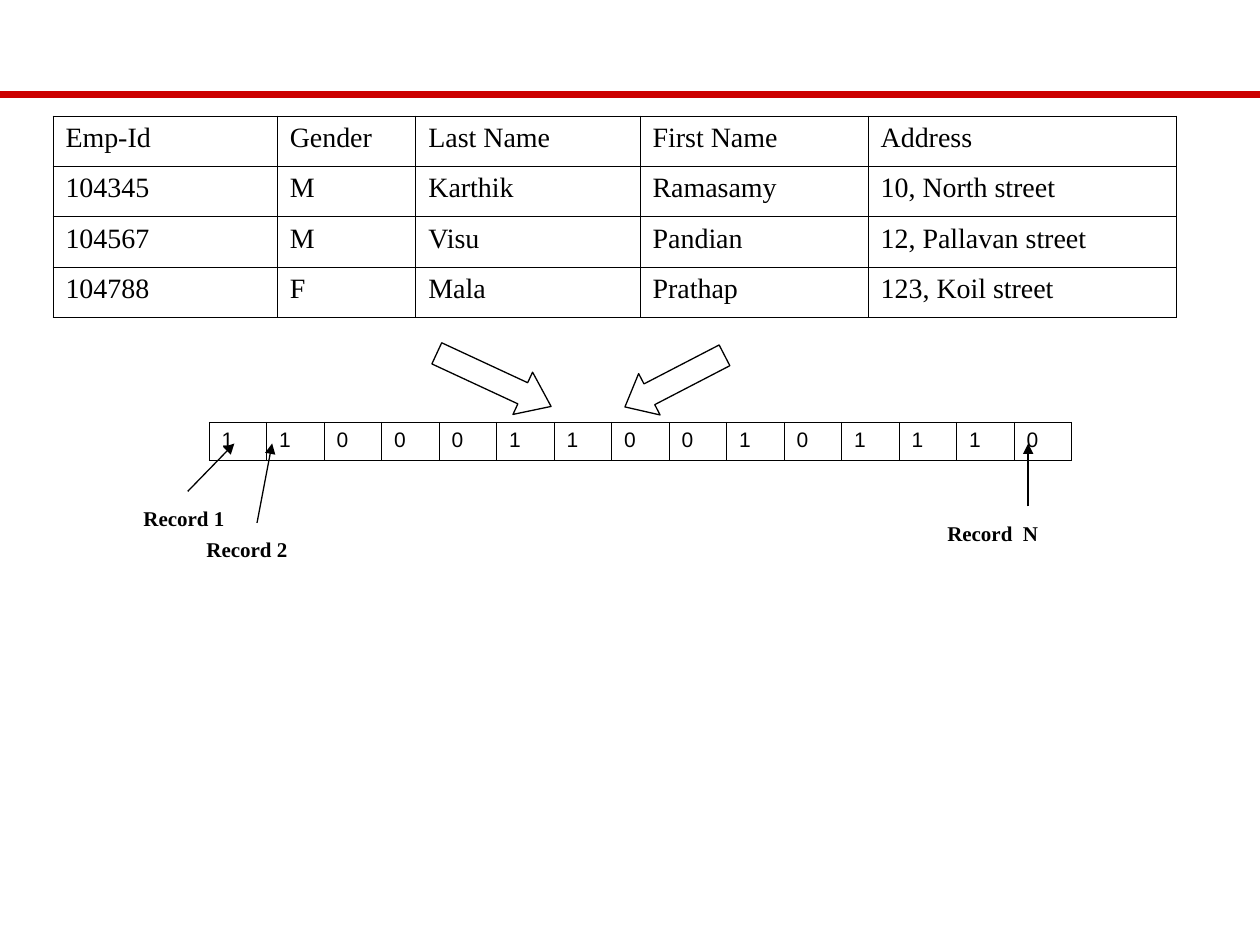
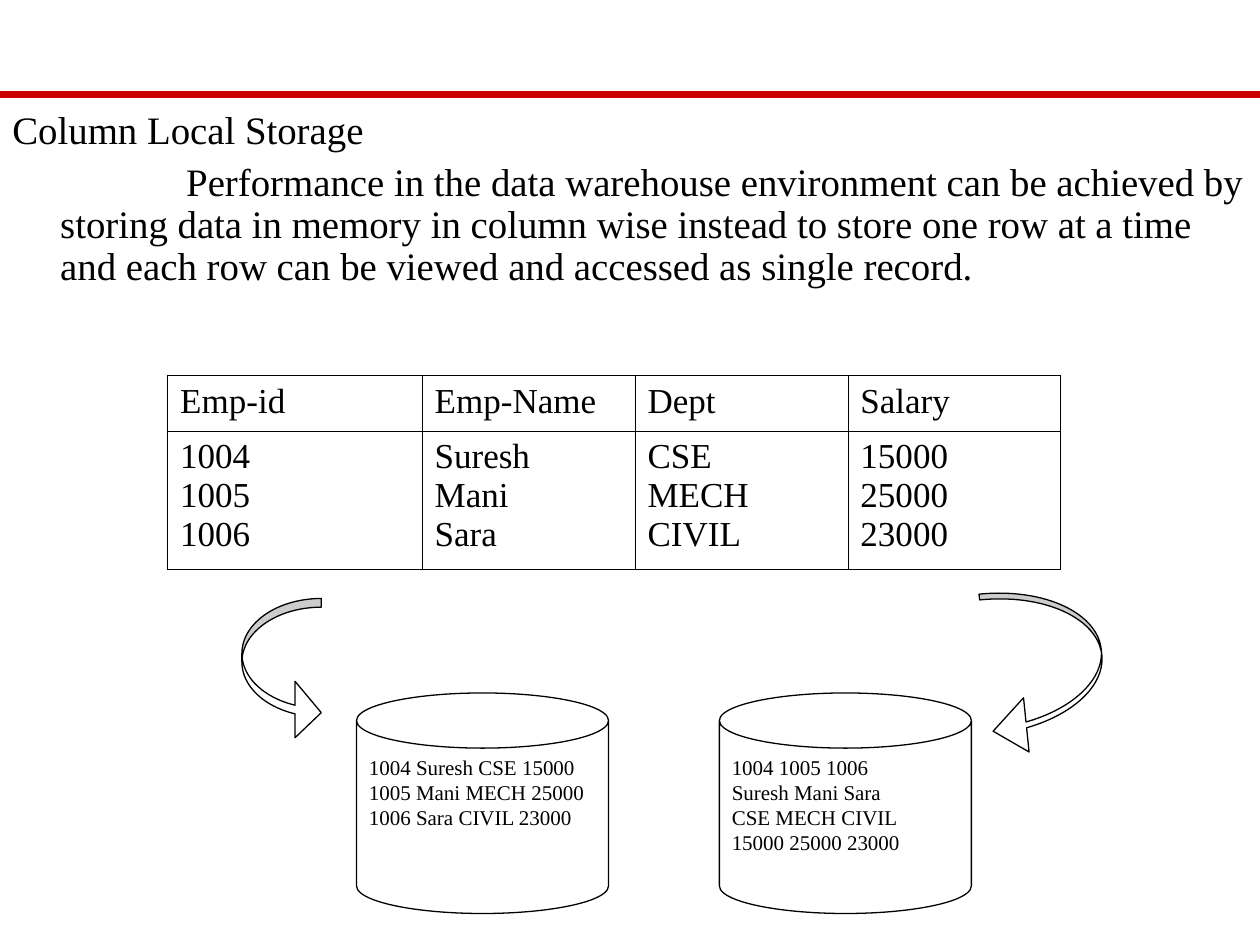
from pptx import Presentation
from pptx.dml.color import RGBColor
from pptx.enum.shapes import MSO_CONNECTOR as Line, MSO_SHAPE as Preset
from pptx.enum.text import MSO_ANCHOR as Anchor, PP_ALIGN as Align
from pptx.oxml import parse_xml
from pptx.oxml.ns import nsdecls
from pptx.util import Inches, Pt

COLORS = {"ink": "000000", "paper": "FFFFFF", "band": "CC0000"}
SERIF, SANS = "Times New Roman", "Arial"
OUTLINE = 0.75
GRID_WIDTH = Pt(0.45)


def color(name):
    return RGBColor.from_string(COLORS[name])


# Shared helpers
def write(frame, lines, size, font=SERIF, bold=False):
    frame.word_wrap = True
    frame.vertical_anchor = Anchor.TOP
    frame.text = "\n".join(lines)
    for para in frame.paragraphs:
        para.alignment = Align.LEFT
        values = {"size": Pt(size), "name": font, "bold": bold}
        for span in para.runs:
            for name, value in values.items():
                setattr(span.font, name, value)
            span.font.color.rgb = color("ink")


def add_line(page, start, end, line_color="ink", width=OUTLINE, arrow=False):
    points = [Inches(value) for value in (*start, *end)]
    line = page.shapes.add_connector(Line.STRAIGHT, *points)
    line.line.color.rgb = color(line_color)
    line.line.width = Pt(width)
    if arrow:
        line.line._get_or_add_ln().append(
            parse_xml(f'<a:tailEnd {nsdecls("a")} type="triangle"/>'))
    line._element.spPr.append(parse_xml(f'<a:effectLst {nsdecls("a")}/>'))


def add_preset(page, preset, box, adjustments=(), rotation=0, outlined=True):
    shape = page.shapes.add_shape(preset, *map(Inches, box))
    shape.shadow.inherit = False
    shape.rotation = rotation
    for index, value in enumerate(adjustments):
        shape.adjustments[index] = value
    shape.fill.solid()
    shape.fill.fore_color.rgb = color("paper")
    if outlined:
        shape.line.color.rgb = color("ink")
        shape.line.width = Pt(OUTLINE)
    else:
        shape.line.fill.background()
    return shape


def add_grid(page, left, top, widths, heights, rows, size, font=SERIF):
    box = map(Inches, (left, top, sum(widths), sum(heights)))
    table = page.shapes.add_table(len(rows), len(widths), *box).table
    table.first_row = table.horz_banding = False
    for column, width in zip(table.columns, widths):
        column.width = Inches(width)
    for row, height, texts in zip(table.rows, heights, rows):
        row.height = Inches(height)
        for cell, text in zip(row.cells, texts):
            write(cell.text_frame, text.split("\n"), size, font)
            cell.vertical_anchor = Anchor.TOP
            cell.fill.background()
            properties = cell._tc.get_or_add_tcPr()
            for index, side in enumerate("LRTB"):
                properties.insert(index, parse_xml(
                    f'<a:ln{side} {nsdecls("a")} w="{GRID_WIDTH}"><a:solidFill>'
                    f'<a:srgbClr val="{COLORS["ink"]}"/></a:solidFill></a:ln{side}>'))


def new_page(deck):
    page = deck.slides.add_slide(deck.slide_layouts[6])
    add_line(page, (0, 0.75), (10, 0.75), "band", 4.5)
    return page


# Slide 1: employee table and its bitmap index
def add_bitmap(page, left, top, width, height, bits):
    tip = top + 0.17
    records = [  # label, label offset and width, arrow start and end offsets
        ("Record 1", (-0.62, 0.61, 0.87), (-0.17, 0.55), 0.2),
        ("Record 2", (-0.12, 0.86, 0.87), (0.38, 0.8), 0.5),
        ("Record  N", (5.76, 0.73, 1.13), (6.5, 0.67), 6.5),
    ]
    for _, _, (x, y), end in records:
        add_line(page, (left + x, top + y), (left + end, tip), arrow=True)
    add_grid(page, left, top, [width / len(bits)] * len(bits), [height],
             [bits], 12, SANS)
    for label, (x, y, label_width), _, _ in records:
        box = (left + x, top + y, label_width, 0.25)
        shape = add_preset(page, Preset.RECTANGLE, box, outlined=False)
        write(shape.text_frame, [label], 12, bold=True)


def build_bitmap_page(deck):
    page = new_page(deck)
    employees = [
        ("Emp-Id", "Gender", "Last Name", "First Name", "Address"),
        ("104345", "M", "Karthik", "Ramasamy", "10, North street"),
        ("104567", "M", "Visu", "Pandian", "12, Pallavan street"),
        ("104788", "F", "Mala", "Prathap", "123, Koil street"),
    ]
    add_grid(page, 0.42, 0.92, (1.78, 1.1, 1.78, 1.81, 2.45), [0.4] * 4,
             employees, 16)
    add_bitmap(page, 1.66, 3.35, 6.85, 0.3, "110001100101110")
    add_preset(page, Preset.LEFT_ARROW, (3.42, 2.83, 1, 0.37), (0.5, 0.67), 204.9)
    add_preset(page, Preset.DOWN_ARROW, (5.17, 2.58, 0.37, 0.89), (0.5, 0.59), 62.6)


# Slide 2: row storage against column storage
def add_body(page, left, top, width, height, lines):
    box = page.shapes.add_textbox(*map(Inches, (left, top, width, height)))
    write(box.text_frame, lines, 22.2)
    for para, first_indent in zip(box.text_frame.paragraphs, (-0.38, 1)):
        para.line_spacing = 0.9
        properties = para._p.get_or_add_pPr()
        properties.set("marL", str(Inches(0.38)))
        properties.set("indent", str(Inches(first_indent)))
    box.text_frame.paragraphs[1].space_before = Pt(6)


def add_stores(page, left, top, gap, stores):
    for index, lines in enumerate(stores):
        can = add_preset(page, Preset.CAN, (left + index * gap, top, 2, 1.75), (0.25,))
        write(can.text_frame, lines, 12)


def build_storage_page(deck):
    page = new_page(deck)
    add_body(page, 0, 0.83, 10, 1.92, [
        "Column Local Storage",
        "Performance in the data warehouse environment can be achieved by "
        "storing data in memory in column wise instead to store one row at a "
        "time and each row can be viewed and accessed as single record.",
    ])
    headers = ("Emp-id", "Emp-Name", "Dept", "Salary")
    records = [
        ("1004", "Suresh", "CSE", "15000"),
        ("1005", "Mani", "MECH", "25000"),
        ("1006", "Sara", "CIVIL", "23000"),
    ]
    fields = list(zip(*records))
    add_grid(page, 1.33, 2.98, (2.02, 1.69, 1.69, 1.69), (0.44, 1.1),
             [headers, ["\n".join(field) for field in fields]], 20)
    add_stores(page, 2.83, 5.5, 2.88,
               [[" ".join(group) for group in groups] for groups in (records, fields)])
    add_preset(page, Preset.CURVED_DOWN_ARROW, (7.64, 4.86, 1.31, 0.92),
               (0.05, 0.47, 0.29), 84.1)
    add_preset(page, Preset.CURVED_RIGHT_ARROW, (1.92, 4.75, 0.63, 1.13),
               (0.11, 0.71, 0.33))


def main():
    deck = Presentation()
    deck.slide_width, deck.slide_height = Inches(10), Inches(7.5)
    build_bitmap_page(deck)
    build_storage_page(deck)
    deck.save("out.pptx")


if __name__ == "__main__":
    main()
